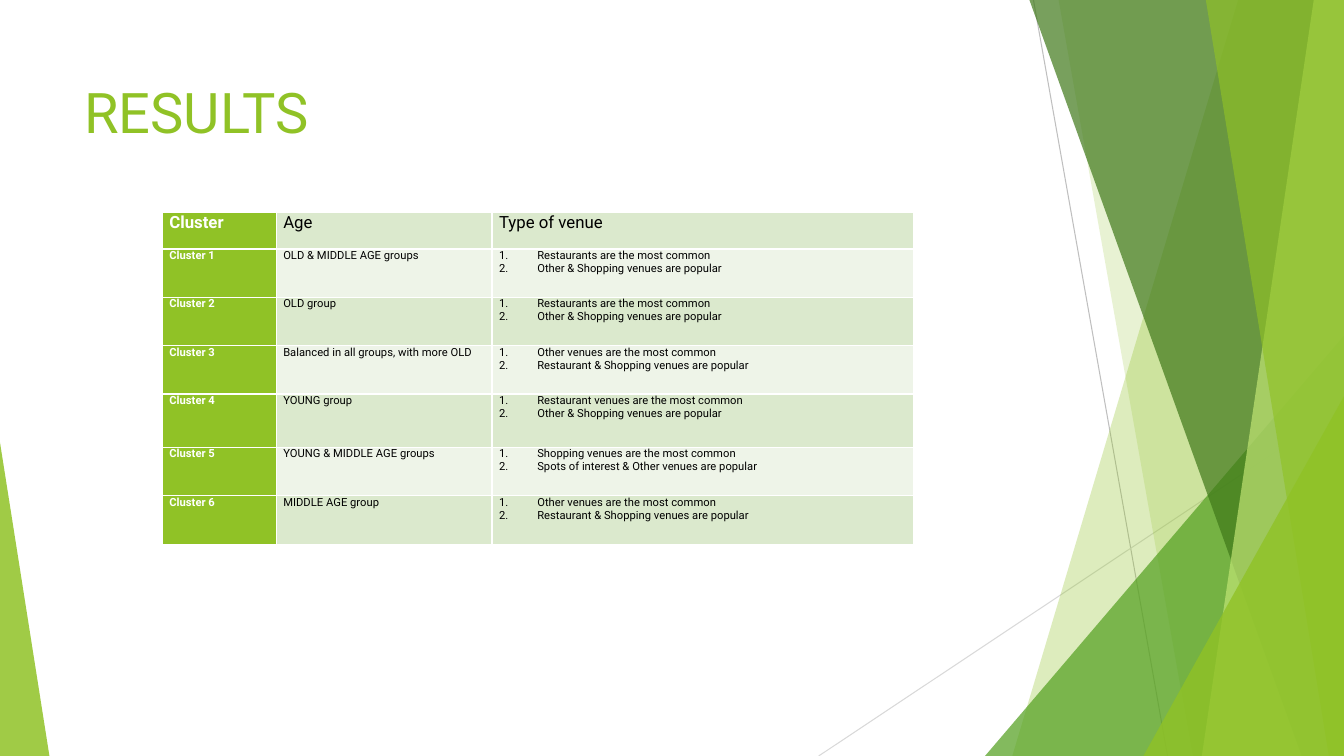
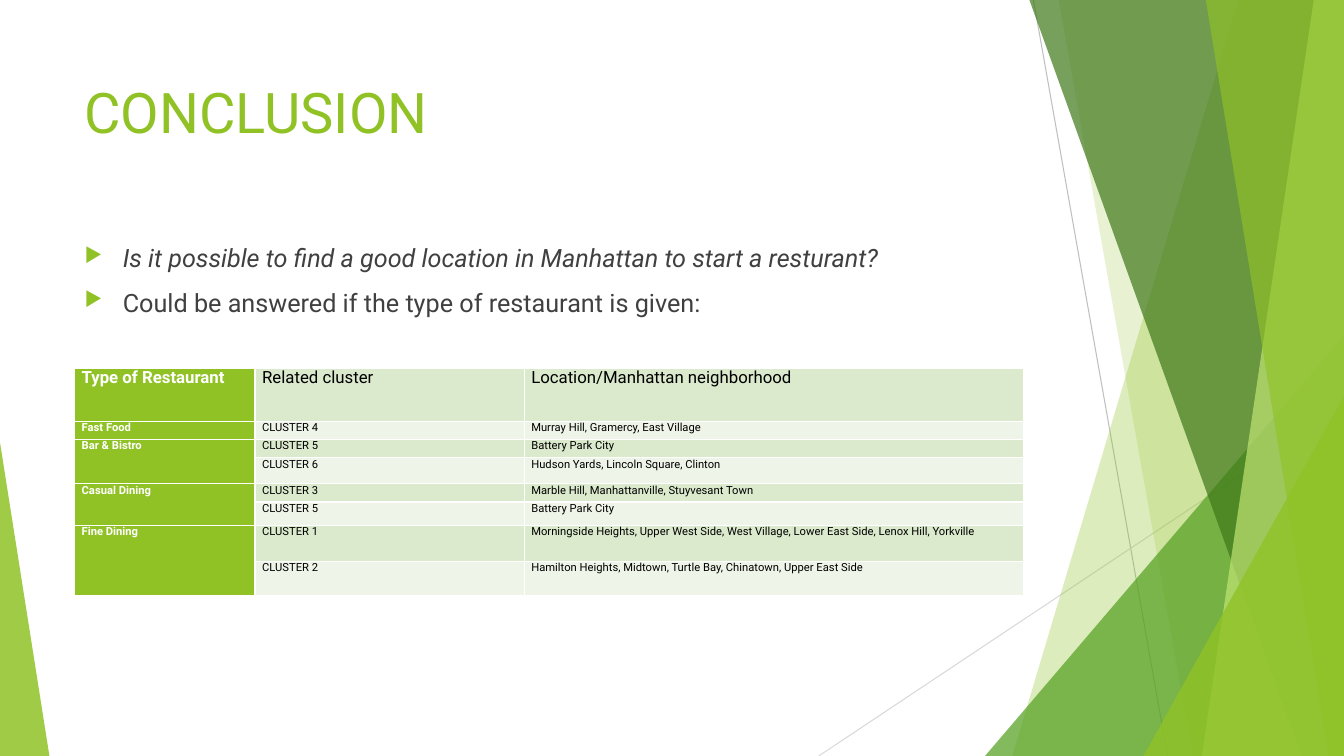
from lxml import etree
from pptx import Presentation
from pptx.dml.color import RGBColor
from pptx.enum.shapes import MSO_CONNECTOR as CONNECTOR, MSO_SHAPE as SHAPE
from pptx.enum.text import MSO_ANCHOR as ANCHOR
from pptx.oxml import parse_xml
from pptx.oxml.ns import nsdecls, qn
from pptx.util import Inches, Pt

LIME = RGBColor(0x90, 0xC2, 0x26)
PALE_LIME = RGBColor(0xC0, 0xE4, 0x74)
GREEN = RGBColor(0x54, 0xA0, 0x21)
DARK_GREEN = RGBColor(0x3F, 0x78, 0x19)
ROW_TINT = RGBColor(0xDB, 0xE9, 0xCD)
ROW_LIGHT = RGBColor(0xEE, 0xF4, 0xE8)
LINE_GRAY = RGBColor(0xBF, 0xBF, 0xBF)
LINE_LIGHT = RGBColor(0xD9, 0xD9, 0xD9)
TEXT_GRAY = RGBColor(0x40, 0x40, 0x40)
WHITE = RGBColor(0xFF, 0xFF, 0xFF)
BLACK = RGBColor(0, 0, 0)

FONT = "Roboto"
WIDTH, HEIGHT = 13.33, 7.5
TITLE_FORMAT = {"size": Pt(40), "color": LIME}
BODY_FORMAT = {"size": Pt(18), "color": TEXT_GRAY}
NUMBER = ('<a:buFont {0} typeface="+mj-lt"/>', '<a:buAutoNum {0} type="arabicPeriod"/>')
ARROW = (
    f'<a:buClr {{0}}><a:srgbClr val="{LIME}"/></a:buClr>',
    '<a:buSzPct {0} val="80000"/>',
    '<a:buChar {0} char="▶"/>',
)


def write(paragraph, text, formats, bullet=()):
    """Add one formatted run, with a hanging bullet if one is given."""
    run = paragraph.add_run()
    run.text = text
    run.font.name = FONT
    for name, value in formats.items():
        if name == "color":
            run.font.color.rgb = value
        else:
            setattr(run.font, name, value)
    if bullet:
        properties = paragraph._p.get_or_add_pPr()
        properties.set("marL", str(Inches(0.38)))
        properties.set("indent", str(-Inches(0.38)))
        for part in bullet:
            properties.append(parse_xml(part.format(nsdecls("a"))))


def add_text_box(slide, left, top, width, height, margin_top):
    frame = slide.shapes.add_textbox(
        Inches(left), Inches(top), Inches(width), Inches(height)
    ).text_frame
    frame.word_wrap = True
    frame.vertical_anchor = ANCHOR.TOP
    frame.margin_top = Inches(margin_top)
    return frame


presentation = Presentation()
presentation.slide_width = Inches(WIDTH)
presentation.slide_height = Inches(HEIGHT)
layout = presentation.slide_layouts[6]
for placeholder in list(layout.placeholders):
    layout.shapes.element.remove(placeholder.element)
results = presentation.slides.add_slide(layout)
conclusion = presentation.slides.add_slide(layout)

# Shared decoration: thin lines
for x1, y1, x2, y2, color in [
    (10.25, 0, 11.58, HEIGHT, LINE_GRAY),
    (WIDTH, 4.03, 8.12, HEIGHT, LINE_LIGHT),
]:
    line = results.shapes.add_connector(
        CONNECTOR.STRAIGHT, Inches(x1), Inches(y1), Inches(x2), Inches(y2)
    )
    line.line.color.rgb = color
    line.line.width = Pt(0.75)
    etree.SubElement(line.element.spPr, qn("a:effectLst"))

# Shared decoration: bands (top x, bottom x) that run to the right edge,
# and corner triangles (left, top, width, apex) that stand on the bottom edge
for geometry, color, opacity in [
    ((12.28, 10.04), LIME, 30),
    ((10.5, 11.83), LIME, 20),
    ((9.77, 3.33, 3.56, 1), GREEN, 72),
    ((10.21, 12.91), DARK_GREEN, 70),
    ((13.03, 11.92), PALE_LIME, 70),
    ((11.96, 13.18), LIME, 65),
    ((11.34, 3.93, 1.99, 1), LIME, 80),
    ((0, 4.39, 0.49, 0), LIME, 85),
]:
    if len(geometry) == 2:
        top_x, bottom_x = geometry
        builder = results.shapes.build_freeform(Inches(top_x), 0)
        corners = [(WIDTH, 0), (WIDTH, HEIGHT), (bottom_x, HEIGHT)]
        builder.add_line_segments([(Inches(x), Inches(y)) for x, y in corners])
        facet = builder.convert_to_shape()
    else:
        left, top, width, apex = geometry
        facet = results.shapes.add_shape(
            SHAPE.ISOSCELES_TRIANGLE,
            Inches(left), Inches(top), Inches(width), Inches(HEIGHT - top),
        )
        facet.adjustments[0] = apex
    facet.shadow.inherit = False
    facet.line.fill.background()
    facet.fill.solid()
    facet.fill.fore_color.rgb = color
    fill_color = facet.element.spPr.find(qn("a:solidFill")).find(qn("a:srgbClr"))
    etree.SubElement(fill_color, qn("a:alpha")).set("val", str(opacity * 1000))

# Both slides inherit the decoration from the layout
for shape in list(results.shapes):
    layout.shapes.element.append(shape.element)

# Titles
for slide, title in [(results, "RESULTS"), (conclusion, "CONCLUSION")]:
    frame = add_text_box(slide, 0.74, 0.67, 9.4, 1.44, margin_top=0.1)
    write(frame.paragraphs[0], title, TITLE_FORMAT)

# Conclusion: question and answer
frame = add_text_box(conclusion, 0.74, 2.36, 9.4, 4.24, margin_top=0.05)
for index, (text, italic) in enumerate([
    ("Is it possible to find a good location in Manhattan to start a resturant?", True),
    ("Could be answered if the type of restaurant is given:", False),
]):
    paragraph = frame.add_paragraph() if index else frame.paragraphs[0]
    paragraph.space_before = Pt(10)
    write(paragraph, text, {**BODY_FORMAT, "italic": italic}, ARROW)

# Table contents: a list in a cell is numbered, None continues the cell above
cluster_rows = [
    ("Cluster", "Age", "Type of venue"),
    ("Cluster 1", "OLD & MIDDLE AGE groups",
     ["Restaurants are the most common", "Other & Shopping venues are popular"]),
    ("Cluster 2", "OLD group",
     ["Restaurants are the most common", "Other & Shopping venues are popular"]),
    ("Cluster 3", "Balanced in all groups, with more OLD",
     ["Other venues are the most common", "Restaurant & Shopping venues are popular"]),
    ("Cluster 4", "YOUNG group",
     ["Restaurant venues are the most common", "Other & Shopping venues are popular"]),
    ("Cluster 5", "YOUNG & MIDDLE AGE groups",
     ["Shopping venues are the most common",
      "Spots of interest & Other venues are popular"]),
    ("Cluster 6", "MIDDLE AGE group",
     ["Other venues are the most common", "Restaurant & Shopping venues are popular"]),
]
restaurant_rows = [
    ("Type of Restaurant", "Related cluster", "Location/Manhattan neighborhood"),
    ("Fast Food", "CLUSTER 4", "Murray Hill, Gramercy, East Village"),
    ("Bar & Bistro", "CLUSTER 5", "Battery Park City"),
    (None, "CLUSTER 6", "Hudson Yards, Lincoln Square, Clinton"),
    ("Casual Dining", "CLUSTER 3", "Marble Hill, Manhattanville, Stuyvesant Town"),
    (None, "CLUSTER 5", "Battery Park City"),
    ("Fine Dining", "CLUSTER 1",
     "Morningside Heights, Upper West Side, West Village, Lower East Side, "
     "Lenox Hill, Yorkville"),
    (None, "CLUSTER 2",
     "Hamilton Heights, Midtown, Turtle Bay, Chinatown, Upper East Side"),
]

# Tables
for slide, left, top, widths, heights, rows in [
    (results, 1.61, 2.11, [1.13, 2.14, 4.18],
     [0.36, 0.48, 0.48, 0.48, 0.53, 0.48, 0.48], cluster_rows),
    (conclusion, 0.74, 3.65, [1.79, 2.67, 4.95],
     [0.53, 0.18, 0.18, 0.26, 0.18, 0.23, 0.36, 0.34], restaurant_rows),
]:
    table = slide.shapes.add_table(
        len(rows), len(widths), Inches(left), Inches(top),
        Inches(sum(widths)), Inches(sum(heights)),
    ).table
    table.first_row = table.horz_banding = False
    for column, width in zip(table.columns, widths):
        column.width = Inches(width)
    for row, height in zip(table.rows, heights):
        row.height = Inches(height)

    for row_index, row in enumerate(rows):
        for column_index, content in enumerate(row):
            cell = table.cell(row_index, column_index)
            is_label = column_index == 0
            cell.margin_left = cell.margin_right = Inches(0.07)
            cell.margin_top = cell.margin_bottom = 0
            for side in ("lnL", "lnR", "lnT", "lnB"):
                cell._tc.get_or_add_tcPr().append(parse_xml(
                    f'<a:{side} {nsdecls("a")} w="{Pt(1)}"><a:solidFill>'
                    f'<a:srgbClr val="{WHITE}"/></a:solidFill></a:{side}>'
                ))
            cell.fill.solid()
            band = ROW_LIGHT if row_index % 2 else ROW_TINT
            cell.fill.fore_color.rgb = LIME if is_label else band
            if content is None:
                table.cell(row_index - 1, column_index).merge(cell)
                continue
            formats = {
                "size": Pt(8) if row_index else Pt(12),
                "bold": is_label,
                "color": WHITE if is_label else BLACK,
            }
            numbered = isinstance(content, list)
            for index, text in enumerate(content if numbered else [content]):
                frame = cell.text_frame
                paragraph = frame.add_paragraph() if index else frame.paragraphs[0]
                write(paragraph, text, formats, NUMBER if numbered else ())

presentation.save("out.pptx")
